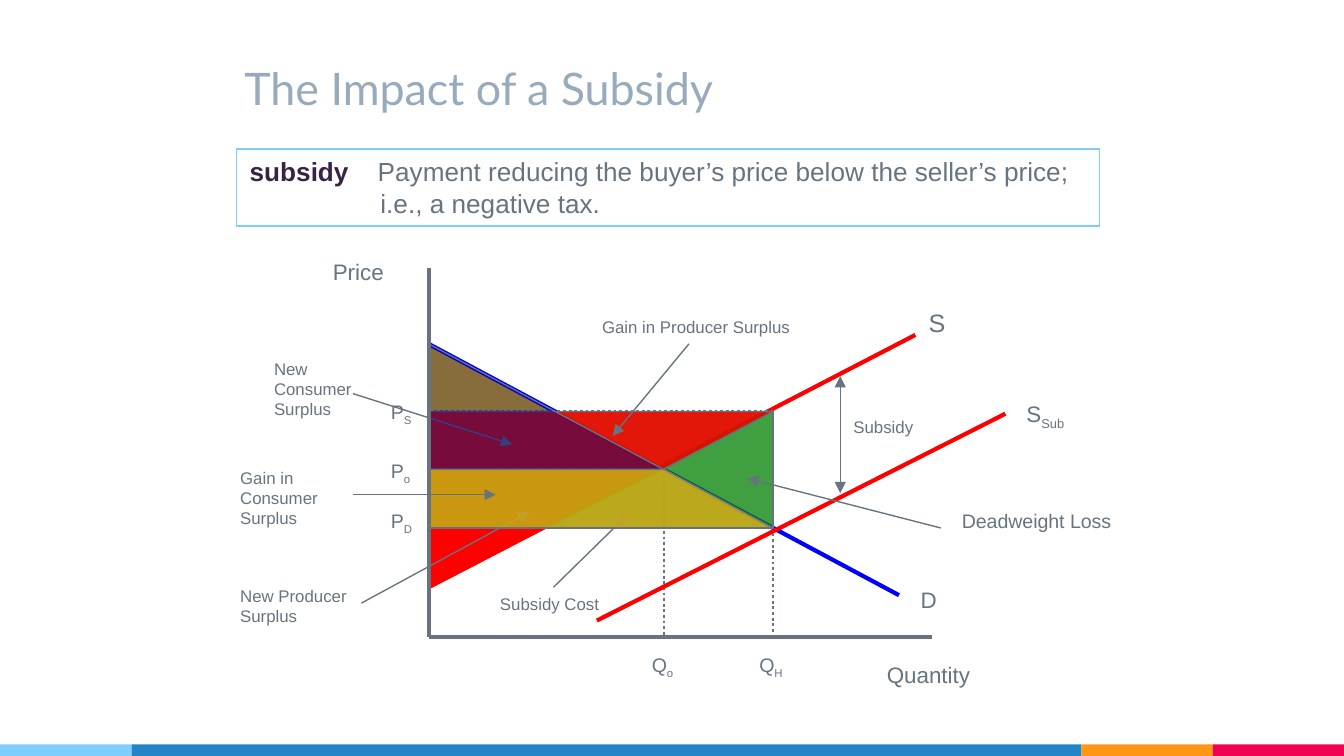
from dataclasses import dataclass

from lxml.etree import SubElement
from pptx import Presentation
from pptx.dml.color import RGBColor
from pptx.enum.dml import MSO_LINE
from pptx.enum.shapes import MSO_CONNECTOR, MSO_SHAPE
from pptx.enum.text import MSO_ANCHOR, PP_ALIGN
from pptx.oxml.ns import qn
from pptx.util import Cm, Pt

GREY, RED, BLUE, YELLOW = "677480", "FF0000", "0000FF", "FFCC00"

# Chart coordinates in cm
X0, Q0, QH = 8.1, 12.55, 14.61
CHOKE, PS, P0, PD, BASE, Y0 = 6.5, 7.78, 8.87, 9.98, 11.1, 12.04


@dataclass
class Label:
    """A text with an optional subscript."""
    text: str
    x: float
    y: float
    w: float
    h: float
    size: float = 9
    sub: str = ""


@dataclass
class Line:
    """A straight line with optional dots and arrowheads."""
    x1: float
    y1: float
    x2: float
    y2: float
    color: str = GREY
    width: float = 0.75
    dotted: bool = False
    ends: tuple[str, ...] = ()


@dataclass
class Area:
    """A filled polygon."""
    points: list[tuple[float, float]]
    fill: str
    alpha: int = 100
    outlined: bool = True


@dataclass
class Box:
    """A rectangle."""
    x: float
    y: float
    w: float
    h: float
    fill: str = ""
    alpha: int = 100
    line: str = ""
    line_width: float = 0.75


def rgb(color: str) -> RGBColor:
    """Turn a hex string into a colour."""
    return RGBColor.from_string(color)


def paint(sp, fill: str, alpha: int, line: str, width: float) -> None:
    """Set fill, transparency and outline of a shape."""
    sp.shadow.inherit = False
    if fill:
        sp.fill.solid()
        sp.fill.fore_color.rgb = rgb(fill)
        if alpha < 100:
            clr = sp._element.spPr.find(qn("a:solidFill"))[0]
            SubElement(clr, qn("a:alpha")).set("val", str(alpha * 1000))
    else:
        sp.fill.background()
    if line:
        sp.line.color.rgb = rgb(line)
        sp.line.width = Pt(width)
    else:
        sp.line.fill.background()


def add_run(p, text: str, size: float, color: str, font: str = "Arial", bold: bool = False):
    """Append a formatted run to a paragraph."""
    r = p.add_run()
    r.text = text
    r.font.size, r.font.name, r.font.bold = Pt(size), font, bold
    r.font.color.rgb = rgb(color)
    return r


def draw_label(s, item: Label) -> None:
    """Draw a label."""
    sp = s.shapes.add_textbox(Cm(item.x), Cm(item.y), Cm(item.w), Cm(item.h))
    sp.text_frame.word_wrap = True
    p = sp.text_frame.paragraphs[0]
    add_run(p, item.text, item.size, GREY)
    if item.sub:
        r = add_run(p, item.sub, item.size, GREY)
        r.font._element.set("baseline", "-25000")


def draw_line(s, item: Line) -> None:
    """Draw a line or an arrow."""
    sp = s.shapes.add_connector(MSO_CONNECTOR.STRAIGHT, Cm(item.x1), Cm(item.y1),
                                Cm(item.x2), Cm(item.y2))
    sp.line.color.rgb = rgb(item.color)
    sp.line.width = Pt(item.width)
    if item.dotted:
        sp.line.dash_style = MSO_LINE.ROUND_DOT
    for end in item.ends:
        SubElement(sp.line._get_or_add_ln(), qn(f"a:{end}")).set("type", "triangle")
    SubElement(sp._element.spPr, qn("a:effectLst"))


def draw_area(s, item: Area) -> None:
    """Draw a polygon."""
    first, *rest = [(Cm(x), Cm(y)) for x, y in item.points]
    builder = s.shapes.build_freeform(*first)
    builder.add_line_segments(rest, close=True)
    paint(builder.convert_to_shape(), item.fill, item.alpha, GREY if item.outlined else "", 0.75)


def draw_box(s, item: Box):
    """Draw a rectangle and return it."""
    sp = s.shapes.add_shape(MSO_SHAPE.RECTANGLE, Cm(item.x), Cm(item.y), Cm(item.w), Cm(item.h))
    paint(sp, item.fill, item.alpha, item.line, item.line_width)
    return sp


def dots(x1: float, y1: float, x2: float, y2: float) -> Line:
    """Make a dotted guide line."""
    return Line(x1, y1, x2, y2, width=1.5, dotted=True)


def arrow(x1: float, y1: float, x2: float, y2: float) -> Line:
    """Make a thin arrow."""
    return Line(x1, y1, x2, y2, ends=("tailEnd",))


def draw_title(s) -> None:
    """Draw the slide title."""
    sp = s.shapes.add_textbox(Cm(4.37), Cm(1.14), Cm(15.39), Cm(1.02))
    tf = sp.text_frame
    tf.word_wrap, tf.vertical_anchor = True, MSO_ANCHOR.MIDDLE
    add_run(tf.paragraphs[0], "The Impact of a Subsidy", 24, "97ABBC", "Lato")


def draw_definition(s) -> None:
    """Draw the framed definition with a hanging indent."""
    sp = draw_box(s, Box(4.47, 2.82, 16.31, 1.45, line="7ECEFD", line_width=1))
    tf = sp.text_frame
    tf.word_wrap, tf.vertical_anchor = True, MSO_ANCHOR.TOP
    p = tf.paragraphs[0]
    add_run(p, "subsidy", 14, "382344", bold=True)
    add_run(p, "\tPayment reducing the buyer’s price below the seller’s price;", 14, GREY)
    p2 = tf.add_paragraph()
    add_run(p2, "i.e., a negative tax.", 14, GREY)
    for par, margin, indent in ((p, 2.42, -2.42), (p2, 2.47, 0)):
        par.alignment = PP_ALIGN.LEFT
        pPr = par._p.get_or_add_pPr()
        pPr.set("marL", str(Cm(margin)))
        pPr.set("indent", str(Cm(indent)))


STRIPES = [(0, 2.49, "7ECEFD"), (2.49, 17.95, "2185C5"),
           (20.44, 2.48, "FF9715"), (22.92, 2.48, "F20253")]

# Back to front
ITEMS = [
    *[Box(x, 14.07, w, 0.22, fill) for x, w, fill in STRIPES],
    Area([(X0, BASE), (X0, P0), (Q0, P0)], RED, outlined=False),
    Area([(X0, CHOKE), (X0, P0), (Q0, P0)], YELLOW, outlined=False),
    dots(Q0, P0, Q0, Y0),
    Label("P", 7.14, 8.56, 1.12, 0.71, 10.5, "o"),
    Label("Q", 12.07, 12.22, 1.12, 0.71, 10.5, "o"),
    Label("S", 17.3, 5.69, 0.97, 0.84, 13.5),
    Label("D", 17.15, 10.95, 1.27, 0.76, 12),
    dots(QH, PD, X0, PD),
    Label("Q", 14.1, 12.22, 1.12, 0.71, 10.5, "H"),
    Label("P", 7.14, 9.5, 1.12, 0.71, 10.5, "D"),
    dots(X0, P0, Q0, P0),
    dots(QH, PD, QH, Y0),
    Line(X0, BASE, 17.3, 6.33, RED, 2.25),
    Line(X0, CHOKE, 16.99, 11.25, BLUE, 2.25),
    Box(X0, PS, QH - X0, PD - PS, "008000", 75, GREY),
    Label("Subsidy Cost", 9.2, 11.1, 2.69, 0.64),
    arrow(10.46, 11.1, 11.91, 9.68),
    Label("P", 7.14, 7.44, 1.12, 0.71, 10.5, "S"),
    dots(X0, PS, QH, PS),
    Line(11.28, 11.73, 19, 7.82, RED, 2.25),
    Label("S", 19.15, 7.44, 1.35, 0.76, 12, "Sub"),
    Label("Subsidy", 15.88, 7.75, 1.75, 0.64),
    Line(15.88, 7.11, 15.88, 9.32, ends=("headEnd", "tailEnd")),
    Area([(X0, BASE), (14.45, PS), (X0, PS)], RED, 46, False),
    Label("New Producer Surplus", 4.29, 10.95, 3.02, 1.02),
    arrow(6.83, 11.4, 10, 9.68),
    Area([(X0, PS), (X0, P0), (Q0, P0), (QH, PS)], RED, 73),
    Label("Gain in Producer Surplus", 11.13, 5.87, 4.29, 0.64),
    arrow(13.02, 6.5, 11.58, 8.24),
    Label("New Consumer Surplus", 4.93, 6.65, 2.24, 1.42),
    arrow(6.67, 7.44, 9.68, 8.4),
    Area([(X0, CHOKE), (X0, PD), (QH, PD)], "000080", 47),
    Label("Gain in Consumer Surplus", 4.29, 8.71, 2.9, 1.42),
    Area([(X0, P0), (X0, PD), (QH, PD), (Q0, P0)], YELLOW, 70),
    arrow(6.67, 9.35, 9.37, 9.35),
    Line(X0, 5.06, X0, Y0, width=2.25),
    Line(X0, Y0, 17.62, Y0, width=2.25),
    Label("Price", 6.04, 4.75, 2.39, 0.76, 12),
    Label("Quantity", 16.51, 12.37, 3.5, 0.76, 12),
    dots(QH, PS, QH, PD),
    Label("Deadweight Loss", 17.93, 9.5, 3.5, 0.71, 10.5),
    arrow(17.78, 9.98, 14.12, 9.04),
]
DRAW = {Label: draw_label, Line: draw_line, Area: draw_area, Box: draw_box}

prs = Presentation()
prs.slide_width, prs.slide_height = Cm(25.4), Cm(14.29)
s = prs.slides.add_slide(prs.slide_layouts[6])
for item in ITEMS:
    DRAW[type(item)](s, item)
draw_title(s)
draw_definition(s)
prs.save("out.pptx")
